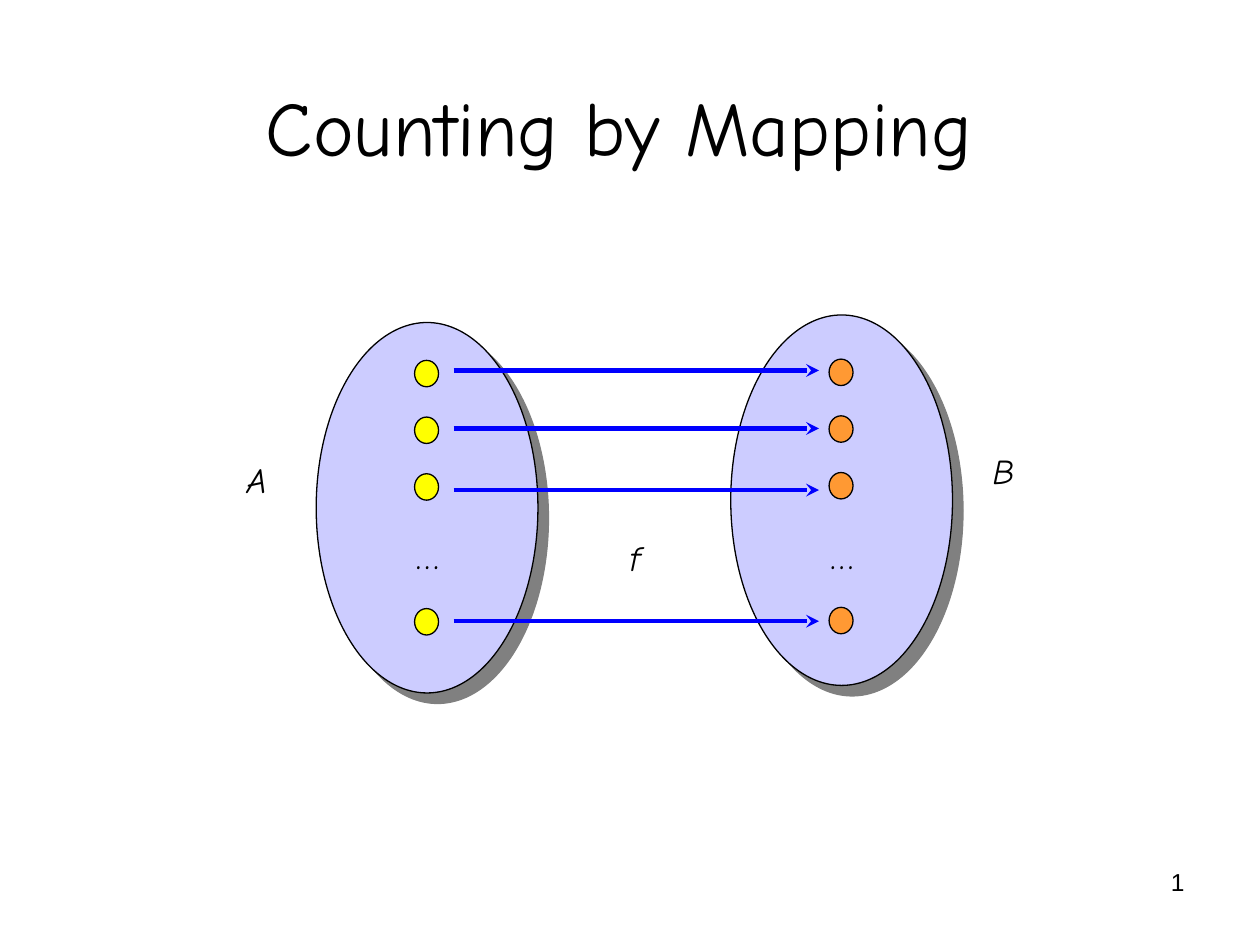
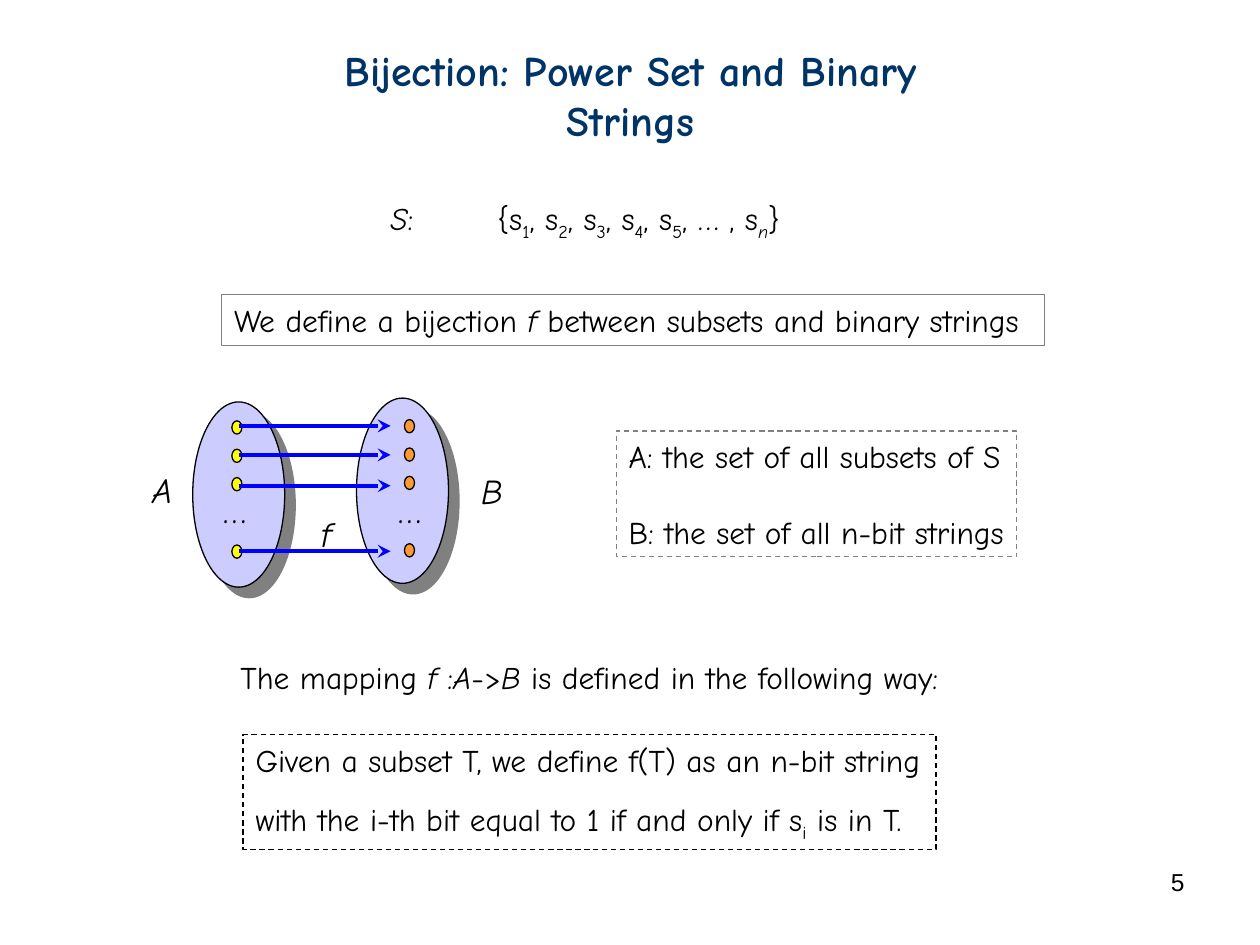
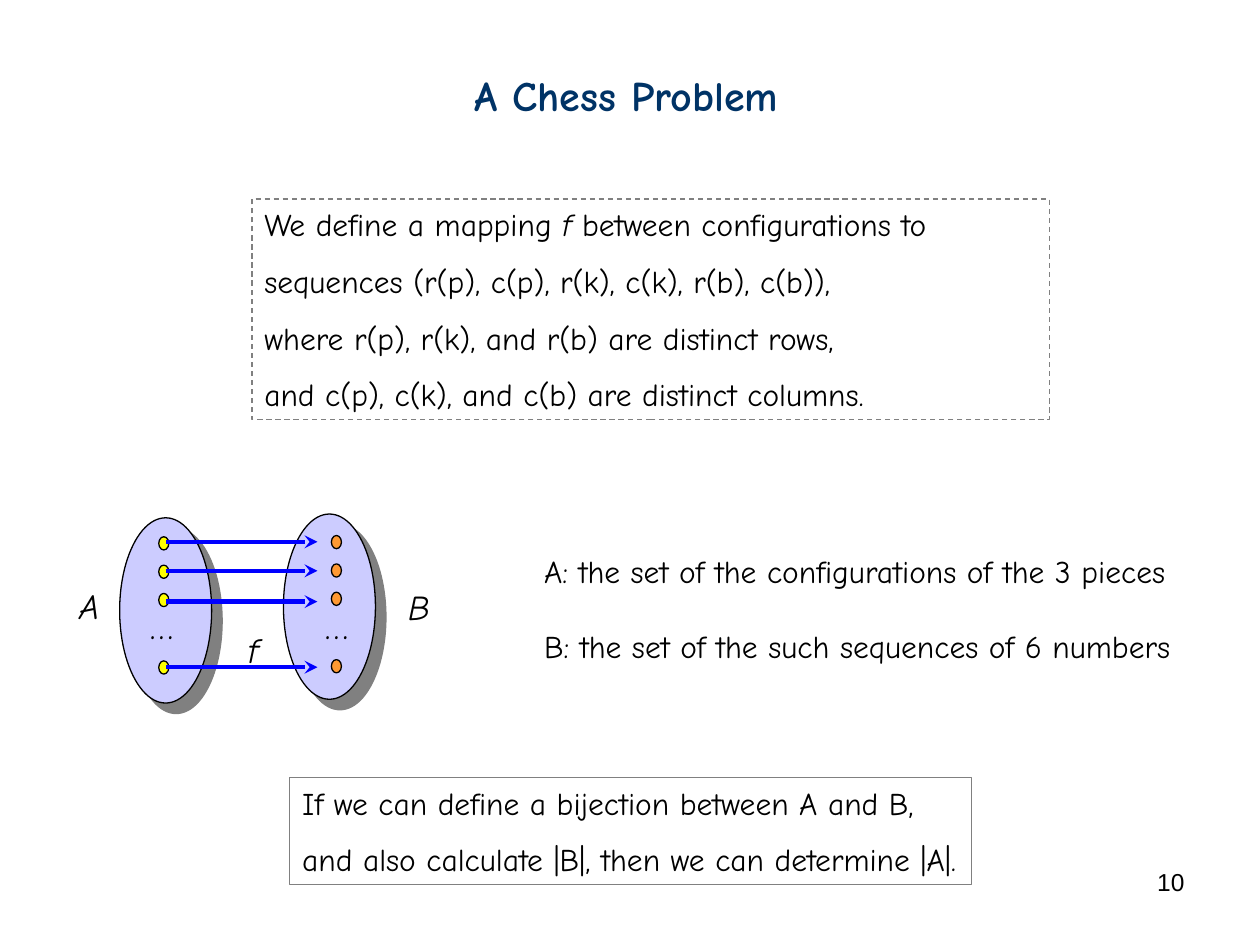
from dataclasses import dataclass

from pptx import Presentation
from pptx.dml.color import RGBColor
from pptx.enum.dml import MSO_LINE
from pptx.enum.shapes import MSO_CONNECTOR, MSO_SHAPE
from pptx.enum.text import MSO_ANCHOR, MSO_AUTO_SIZE, PP_ALIGN
from pptx.oxml.ns import qn
from pptx.util import Inches, Pt
from lxml.etree import SubElement

# Colours and fonts
BLACK = RGBColor(0x00, 0x00, 0x00)
GRAY = RGBColor(0x80, 0x80, 0x80)
NAVY = RGBColor(0x00, 0x33, 0x66)
BLUE = RGBColor(0x00, 0x00, 0xFF)
LAVENDER = RGBColor(0xCC, 0xCC, 0xFF)
YELLOW = RGBColor(0xFF, 0xFF, 0x00)
ORANGE = RGBColor(0xFF, 0x99, 0x33)
FONT = "Comic Neue"

# Text formats
BODY = {"name": FONT, "size": Pt(18)}
LABEL = {"name": FONT, "size": Pt(20)}
NUMBER = {"name": "Arial", "size": Pt(14)}
MAIN_TITLE = {"name": FONT, "size": Pt(44)}
TITLE = {"name": FONT, "size": Pt(24), "bold": True}

# Paragraph formats
OPEN = {"line_spacing": 1.5}
AFTER_GAP = {"space_before": Pt(21.6)}
CENTERED = {"alignment": PP_ALIGN.CENTER}
RIGHT = {"alignment": PP_ALIGN.RIGHT}

# Heights in the mapping diagram, from the top of set A at full size
DOT_TOPS = (0.3, 0.75, 1.2, 2.27)
ARROW_YS = (0.38, 0.84, 1.33, 2.37)


@dataclass
class MappingLayout:
    """Measures of a mapping diagram, from the top left of set A."""
    y_scale: float
    set_w: float
    set_b_x: float
    dot_w: float
    dot_xs: tuple
    arrow_xs: tuple
    labels: tuple  # text, flags, x, y, width


LARGE = MappingLayout(
    1, 1.76, 3.29, 0.19, (0.78, 4.07), (1.09, 3.99),
    (("A", "i", -0.65, 1.03, 0.36), ("B", "i", 5.27, 0.96, 0.37),
     ("…", "", 0.69, 1.63, 0.38), ("…", "", 3.98, 1.63, 0.38),
     ("f", "i", 2.39, 1.65, 0.28)))
SMALL = MappingLayout(
    0.5, 0.73, 1.3, 0.08, (0.31, 1.68), (0.37, 1.57),
    (("A", "i", -0.42, 0.48, 0.36), ("B", "i", 2.19, 0.49, 0.37),
     ("…", "", 0.14, 0.64, 0.38), ("…", "", 1.53, 0.64, 0.38),
     ("f", "i", 0.92, 0.83, 0.28)))


def set_attrs(obj, values):
    for name, value in values.items():
        setattr(obj, name, value)


def add_runs(p, runs, font, color=BLACK):
    """Runs are a string or (text, flags); i is italic, _ is subscript."""
    for text, flags in [(runs, "")] if isinstance(runs, str) else runs:
        r = p.add_run()
        r.text = text
        set_attrs(r.font, font)
        r.font.color.rgb = color
        if "i" in flags:
            r.font.italic = True
        if "_" in flags:
            r.font._element.set("baseline", "-25000")


def add_text(shapes, box, paragraphs, font=BODY, wrap=False):
    """Each paragraph is (runs, paragraph format)."""
    sp = shapes.add_textbox(*map(Inches, box))
    tf = sp.text_frame
    tf.word_wrap = wrap
    tf.auto_size = MSO_AUTO_SIZE.SHAPE_TO_FIT_TEXT
    for i, (runs, fmt) in enumerate(paragraphs):
        p = tf.add_paragraph() if i else tf.paragraphs[0]
        set_attrs(p, fmt)
        add_runs(p, runs, font)
    return sp


def add_framed_text(s, box, paragraphs, color=GRAY, dashed=False, wrap=False):
    sp = add_text(s.shapes, box, paragraphs, wrap=wrap)
    sp.line.color.rgb = color
    sp.line.width = Pt(0.75)
    if dashed:
        sp.line.dash_style = MSO_LINE.DASH


def add_ellipse(shapes, box, fill):
    sp = shapes.add_shape(MSO_SHAPE.OVAL, *map(Inches, box))
    sp.fill.solid()
    sp.fill.fore_color.rgb = fill
    sp.line.color.rgb = BLACK
    sp.line.width = Pt(0.75)
    sp.shadow.inherit = False
    return sp


def add_set(shapes, box):
    sp = add_ellipse(shapes, box, LAVENDER)
    effects = sp._element.spPr.find(qn("a:effectLst"))
    shadow = SubElement(effects, qn("a:outerShdw"), dist=str(Pt(8.5)),
                        dir="2700000", algn="ctr", rotWithShape="0")
    SubElement(shadow, qn("a:srgbClr"), val=str(GRAY))


def add_arrow(shapes, x1, x2, y):
    c = shapes.add_connector(MSO_CONNECTOR.STRAIGHT, *map(Inches, (x1, y, x2, y)))
    c.line.color.rgb = BLUE
    c.line.width = Pt(2.5)
    SubElement(c.line._get_or_add_ln(), qn("a:tailEnd"), type="stealth")
    SubElement(c._element.spPr, qn("a:effectLst"))


def add_mapping(s, x, y, m):
    shapes = s.shapes.add_group_shape().shapes
    k = m.y_scale
    # Sets
    add_set(shapes, (x, y, m.set_w, 2.94 * k))
    add_set(shapes, (x + m.set_b_x, y - 0.06 * k, m.set_w, 2.94 * k))
    # Elements
    for dot_x, color, rise in zip(m.dot_xs, (YELLOW, ORANGE), (0, 0.01)):
        for top in DOT_TOPS:
            add_ellipse(shapes, (x + dot_x, y + top * k - rise, m.dot_w, 0.21 * k), color)
    # Arrows
    for arrow_y in ARROW_YS:
        add_arrow(shapes, x + m.arrow_xs[0], x + m.arrow_xs[1], y + arrow_y * k)
    # Labels
    for text, flags, dx, dy, w in m.labels:
        fmt = CENTERED if text == "…" else {}
        add_text(shapes, (x + dx, y + dy, w, 0.44), [([(text, flags)], fmt)], LABEL)


def add_slide(prs, title, box, number, font=TITLE, color=NAVY):
    s = prs.slides.add_slide(prs.slide_layouts[5])
    sp = s.shapes.title
    set_attrs(sp, dict(zip(("left", "top", "width", "height"), map(Inches, box))))
    tf = sp.text_frame
    set_attrs(tf, {"word_wrap": False, "auto_size": MSO_AUTO_SIZE.NONE,
                   "vertical_anchor": MSO_ANCHOR.MIDDLE})
    tf.paragraphs[0].alignment = PP_ALIGN.CENTER
    add_runs(tf.paragraphs[0], title, font, color)
    # Page number
    sp = add_text(s.shapes, (7.17, 6.83, 2.33, 0.52), [(number, RIGHT)], NUMBER, wrap=True)
    sp.text_frame.auto_size = MSO_AUTO_SIZE.NONE
    return s


def add_set_definition(s):
    runs = [("S", "i"), (":\t{s", "")]
    for i in range(1, 6):
        runs += [(str(i), "_"), (", s" if i < 5 else ", … , s", "")]
    runs += [("n", "i_"), ("}", "")]
    sp = add_text(s.shapes, (3, 1.53, 4, 0.44),
                  [(runs, {"space_before": Pt(4.5)})], wrap=True)
    pPr = sp.text_frame.paragraphs[0]._p.get_or_add_pPr()
    tabs = SubElement(pPr, qn("a:tabLst"))
    SubElement(tabs, qn("a:tab"), pos=str(Inches(0.85)), algn="l")


def build_opening(prs):
    s = add_slide(prs, "Counting by Mapping", (0.25, 0.5, 9.33, 1), "1", MAIN_TITLE, BLACK)
    add_mapping(s, 2.51, 2.56, LARGE)


def build_power_set(prs):
    s = add_slide(prs, "Bijection: Power Set and Binary Strings", (2.07, 0.5, 5.87, 0.5), "5")
    add_set_definition(s)
    add_framed_text(s, (1.76, 2.34, 6.53, 0.4), [
        ([("We define a bijection ", ""), ("f", "i"),
          (" between subsets and binary strings", "")], {})])
    add_mapping(s, 1.53, 3.19, SMALL)
    add_framed_text(s, (4.89, 3.42, 3.18, 1), [
        ("A: the set of all subsets of S", {}),
        ("B: the set of all n-bit strings", AFTER_GAP)], dashed=True)
    add_text(s.shapes, (1.81, 5.17, 5.83, 0.4), [
        ([("The mapping ", ""), ("f", "i"), (" :", ""), ("A", "i"), ("->", ""),
          ("B", "i"), (" is defined in the following way:", "")], {})])
    add_framed_text(s, (1.93, 5.83, 5.5, 0.91), [
        ("Given a subset T, we define f(T) as an n-bit string", {}),
        ([("with the i-th bit equal to 1 if and only if s", ""), ("i", "_"),
          (" is in T.", "")], OPEN)], color=BLACK, dashed=True)


def build_chess(prs):
    s = add_slide(prs, "A Chess Problem", (3.66, 0.5, 2.62, 0.5), "10")
    add_framed_text(s, (2, 1.58, 6.33, 1.75), [
        ([("We define a mapping ", ""), ("f", "i"),
          (" between configurations to", "")], {}),
        ("sequences (r(p), c(p), r(k), c(k), r(b), c(b)),", OPEN),
        ("where r(p), r(k), and r(b) are distinct rows,", OPEN),
        ("and c(p), c(k), and c(b) are distinct columns.", OPEN)],
        dashed=True, wrap=True)
    add_mapping(s, 0.95, 4.11, SMALL)
    add_text(s.shapes, (4.22, 4.33, 5.17, 1), [
        ("A: the set of the configurations of the 3 pieces", {}),
        ("B: the set of the such sequences of 6 numbers", AFTER_GAP)])
    add_framed_text(s, (2.3, 6.17, 5.41, 0.85), [
        ("If we can define a bijection between A and B,", {}),
        ("and also calculate |B|, then we can determine |A|.", OPEN)])


def main():
    prs = Presentation()
    prs.slide_width, prs.slide_height = Inches(10), Inches(7.5)
    build_opening(prs)
    build_power_set(prs)
    build_chess(prs)
    prs.save("out.pptx")


if __name__ == "__main__":
    main()
